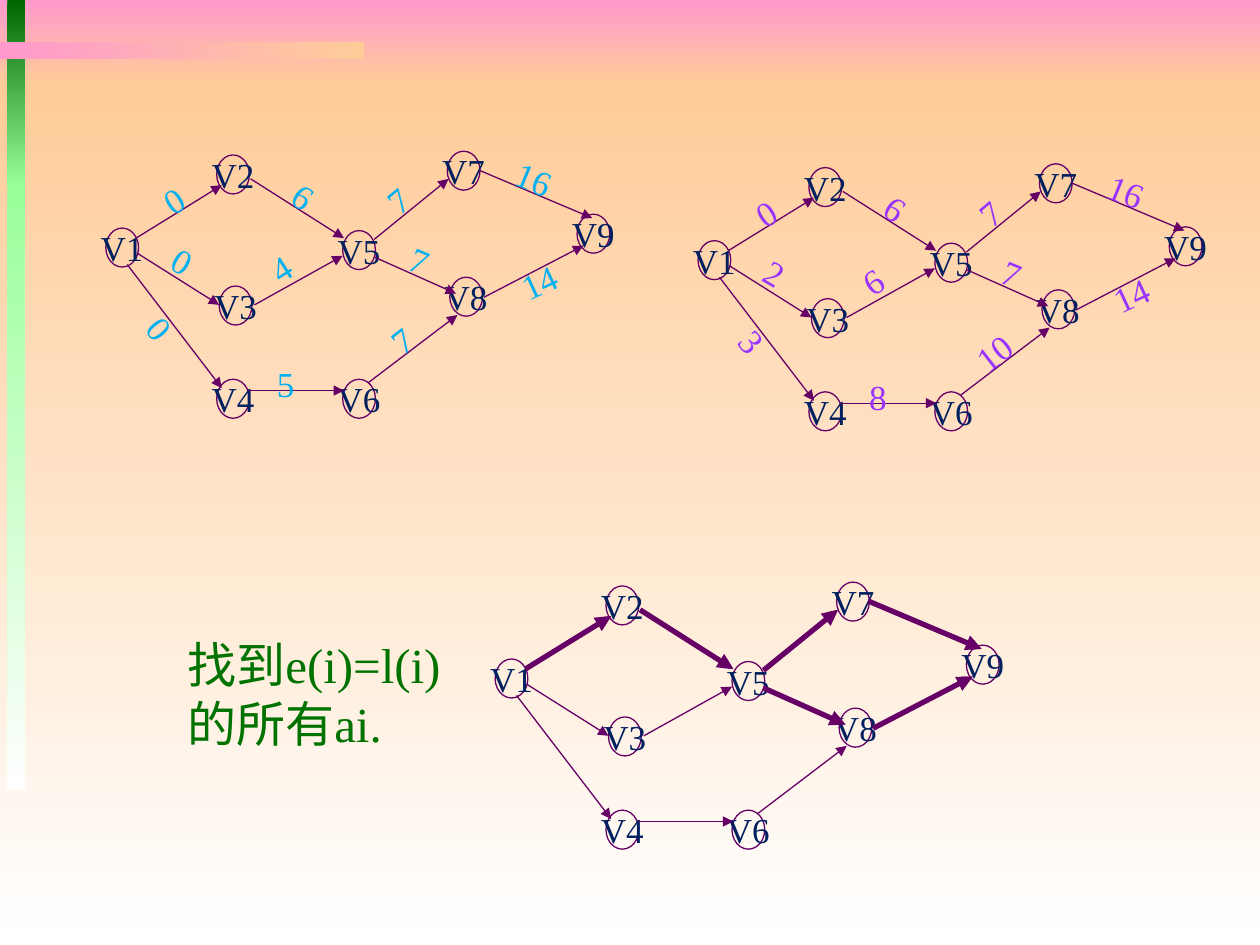
from dataclasses import dataclass

from lxml import etree
from pptx import Presentation
from pptx.dml.color import RGBColor
from pptx.enum.shapes import MSO_CONNECTOR, MSO_SHAPE
from pptx.enum.text import MSO_ANCHOR, MSO_AUTO_SIZE, PP_ALIGN
from pptx.oxml.ns import qn
from pptx.util import Inches, Pt

OVAL, RECTANGLE = MSO_SHAPE.OVAL, MSO_SHAPE.RECTANGLE
STRAIGHT = MSO_CONNECTOR.STRAIGHT
CENTER, LEFT = PP_ALIGN.CENTER, PP_ALIGN.LEFT
MIDDLE, TOP = MSO_ANCHOR.MIDDLE, MSO_ANCHOR.TOP
GROW = MSO_AUTO_SIZE.SHAPE_TO_FIT_TEXT
DOWN, RIGHTWARD = 270, 0


@dataclass(frozen=True)
class Theme:
    font: str = "Times New Roman"
    graph_size: float = 20
    note_size: float = 28
    thin: float = 0.75
    thick: float = 3
    outline: str = "660066"
    node_text: str = "002060"
    earliest: str = "00B0F0"
    latest: str = "9933FF"
    note: str = "007200"
    pink: str = "FF99CC"
    peach: str = "FFCC99"
    dark_green: str = "006600"
    light_green: str = "99FF99"
    white: str = "FFFFFF"


THEME = Theme()
NODE_WIDTH, NODE_HEIGHT = 0.26, 0.31
LABEL_HEIGHT = 0.44

# Top left corner of each vertex in the first graph
NODES = {
    "V9": (4.58, 1.70), "V8": (3.57, 2.20), "V7": (3.55, 1.20),
    "V6": (2.72, 3.01), "V4": (1.72, 3.01), "V5": (2.72, 1.83),
    "V3": (1.74, 2.27), "V2": (1.72, 1.23), "V1": (0.84, 1.81),
}

# Activity: start, end, label centre, label rotation
EDGES = {
    "V1-V3": ((1.09, 2.01), (1.74, 2.42), (1.45, 2.07), 29.8),
    "V1-V4": ((1.01, 2.10), (1.76, 3.08), (1.27, 2.61), 50),
    "V3-V5": ((2.02, 2.42), (2.72, 2.03), (2.23, 2.13), 327.7),
    "V4-V6": ((1.97, 3.10), (2.73, 3.10), (2.27, 3.05), 0),
    "V6-V8": ((2.92, 3.04), (3.63, 2.50), (3.19, 2.70), 322.1),
    "V1-V2": ((1.08, 1.89), (1.76, 1.47), (1.38, 1.59), 327.7),
    "V2-V5": ((1.99, 1.42), (2.73, 1.89), (2.41, 1.56), 35.2),
    "V5-V7": ((2.97, 1.90), (3.56, 1.42), (3.16, 1.59), 320.3),
    "V5-V8": ((2.97, 2.04), (3.62, 2.33), (3.33, 2.07), 22.5),
    "V7-V9": ((3.80, 1.35), (4.70, 1.73), (4.24, 1.42), 22.2),
    "V8-V9": ((3.84, 2.36), (4.63, 1.95), (4.28, 2.24), 335.1),
}
CRITICAL = ("V1-V2", "V2-V5", "V5-V7", "V5-V8", "V7-V9", "V8-V9")

# Start times in the order of EDGES
EARLIEST = (0, 0, 4, 5, 7, 0, 6, 7, 7, 16, 14)
LATEST = (2, 3, 6, 8, 10, 0, 6, 7, 7, 16, 14)


def rgb(color):
    return RGBColor.from_string(color)


def write_text(frame, text, *, size, color, align=LEFT, anchor=TOP, wrap=False):
    frame.word_wrap = wrap
    frame.vertical_anchor = anchor
    for index, line in enumerate(text.split("\n")):
        paragraph = frame.paragraphs[0] if index == 0 else frame.add_paragraph()
        paragraph.alignment = align
        run = paragraph.add_run()
        run.text = line
        run.font.name = THEME.font
        run.font.size = Pt(size)
        run.font.color.rgb = rgb(color)


def add_gradient_bar(slide, box, first, last, angle):
    bar = slide.shapes.add_shape(RECTANGLE, *map(Inches, box))
    bar.shadow.inherit = False
    bar.line.fill.background()
    bar.fill.gradient()
    bar.fill.gradient_angle = angle
    for stop, color, position in zip(bar.fill.gradient_stops, (first, last), (0, 1)):
        stop.color.rgb = rgb(color)
        stop.position = position


def add_node(slide, name, left, top):
    node = slide.shapes.add_shape(
        OVAL, Inches(left), Inches(top), Inches(NODE_WIDTH), Inches(NODE_HEIGHT))
    node.shadow.inherit = False
    node.fill.background()
    node.line.color.rgb = rgb(THEME.outline)
    node.line.width = Pt(THEME.thin)
    write_text(node.text_frame, name, size=THEME.graph_size,
               color=THEME.node_text, align=CENTER, anchor=MIDDLE)


def add_arrow(slide, start, end, width):
    arrow = slide.shapes.add_connector(STRAIGHT, *map(Inches, (*start, *end)))
    arrow.line.color.rgb = rgb(THEME.outline)
    arrow.line.width = Pt(width)
    properties = arrow.line._get_or_add_ln()
    etree.SubElement(properties, qn("a:tailEnd"), type="triangle")
    etree.SubElement(arrow._element.spPr, qn("a:effectLst"))


def add_text_box(slide, box, text, rotation=0, **text_format):
    text_box = slide.shapes.add_textbox(*map(Inches, box))
    text_box.rotation = rotation
    write_text(text_box.text_frame, text, **text_format)
    text_box.text_frame.auto_size = GROW


def add_time(slide, time, center, rotation, color):
    """Write a start time centred on a point beside its activity."""
    text = str(time)
    width = 0.2 + 0.14 * len(text)
    box = (center[0] - width / 2, center[1] - LABEL_HEIGHT / 2, width, LABEL_HEIGHT)
    add_text_box(slide, box, text, rotation, size=THEME.graph_size, color=color)


def add_graph(slide, dx, dy, times=(), time_color=None, highlighted=()):
    """Draw the activity network moved by (dx, dy) from the first graph."""
    def moved(point):
        return point[0] + dx, point[1] + dy

    for name, corner in NODES.items():
        add_node(slide, name, *moved(corner))
    for start, end, _, _ in EDGES.values():
        add_arrow(slide, moved(start), moved(end), THEME.thin)
    for activity in highlighted:
        start, end, _, _ = EDGES[activity]
        add_arrow(slide, moved(start), moved(end), THEME.thick)
    for time, (_, _, center, rotation) in zip(times, EDGES.values()):
        add_time(slide, time, moved(center), rotation, time_color)


def add_background(slide):
    bars = (
        ((0, 0, 10, 0.67), THEME.pink, THEME.peach, DOWN),
        ((0, 0.67, 10, 6.83), THEME.peach, THEME.white, DOWN),
        ((0.06, 0, 0.14, 1.48), THEME.dark_green, THEME.light_green, DOWN),
        ((0.06, 1.46, 0.14, 4.81), THEME.light_green, THEME.white, DOWN),
        ((0, 0.33, 2.89, 0.14), THEME.pink, THEME.peach, RIGHTWARD),
    )
    for bar in bars:
        add_gradient_bar(slide, *bar)


def main():
    presentation = Presentation()
    presentation.slide_width, presentation.slide_height = Inches(10), Inches(7.5)
    slide = presentation.slides.add_slide(presentation.slide_layouts[6])
    add_background(slide)
    add_graph(slide, 0, 0, EARLIEST, THEME.earliest)
    add_graph(slide, 4.7, 0.1, LATEST, THEME.latest)
    add_graph(slide, 3.09, 3.42, highlighted=CRITICAL)
    add_text_box(slide, (1.39, 4.99, 2.23, 1.04), "找到e(i)=l(i)\n的所有ai.",
                 size=THEME.note_size, color=THEME.note, wrap=True)
    presentation.save("out.pptx")


if __name__ == "__main__":
    main()
